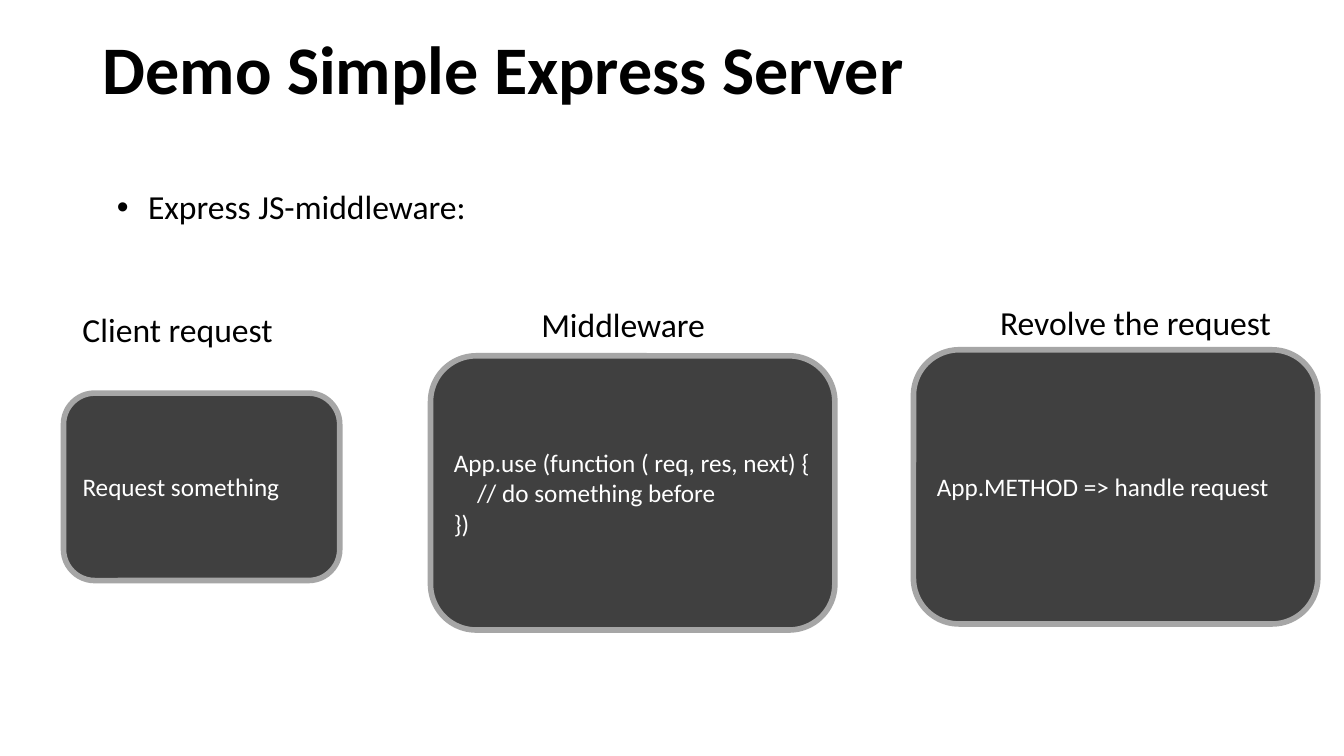
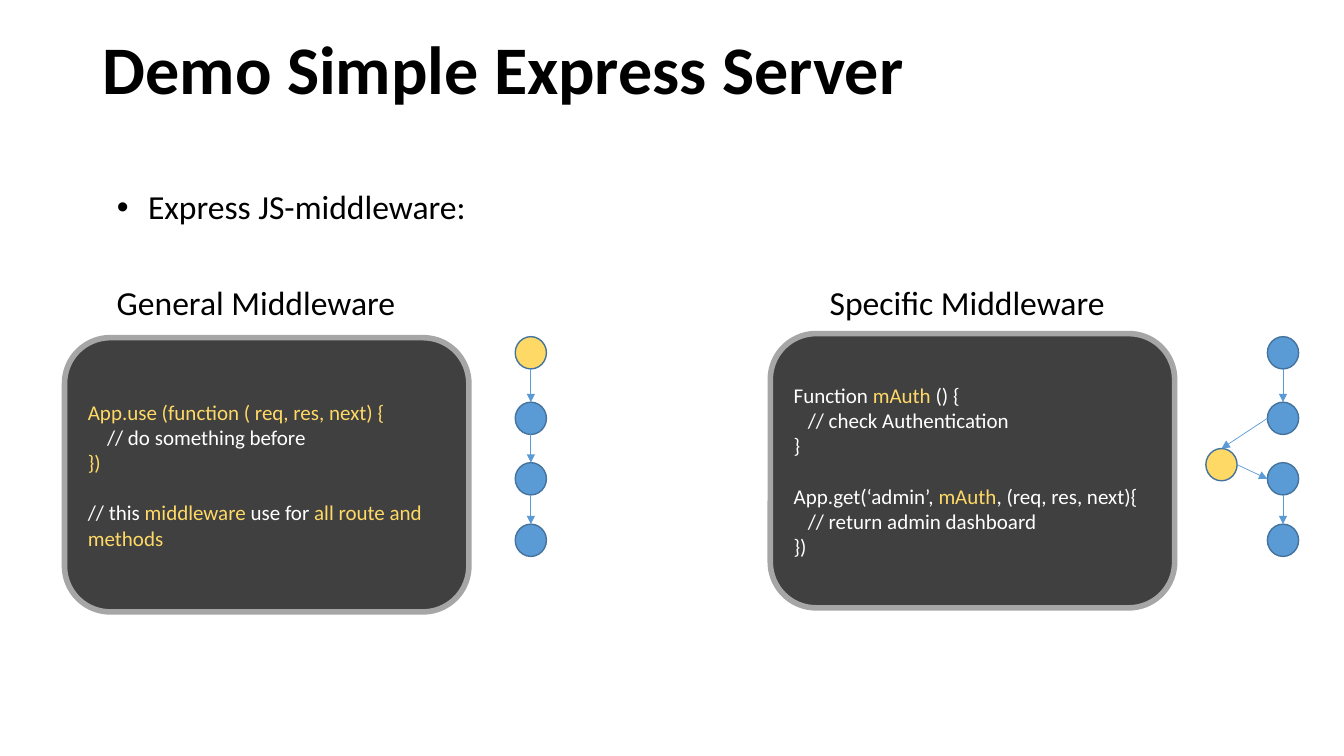
"""Build two slides that explain Express JS middleware."""
from dataclasses import dataclass

from lxml import etree
from pptx import Presentation
from pptx.dml.color import RGBColor
from pptx.enum.shapes import MSO_CONNECTOR, MSO_SHAPE
from pptx.enum.text import MSO_ANCHOR, PP_ALIGN
from pptx.oxml.ns import qn
from pptx.slide import Slide
from pptx.util import Inches, Pt

ROUNDED = MSO_SHAPE.ROUNDED_RECTANGLE
OVAL = MSO_SHAPE.OVAL
STRAIGHT = MSO_CONNECTOR.STRAIGHT
MIDDLE = MSO_ANCHOR.MIDDLE
LEFT = PP_ALIGN.LEFT

FONT = "Calibri"
COLORS = {
    "ink": "000000",
    "panel": "404040",
    "frame": "A6A6A6",
    "code": "FFFFFF",
    "accent": "FFD966",
    "step": "5B9BD5",
    "step_edge": "43739E",
}
TITLE = "Demo Simple Express Server"
TOPIC = "Express JS-middleware:"
LABEL_HEIGHT = 0.5
PANEL_SIZE = (4.01, 2.72)
STEP_WIDTH, STEP_HEIGHT = 0.31, 0.32
STEP_TOPS = (3.34, 3.99, 4.59, 5.2)


@dataclass(frozen=True)
class Span:
    """A stretch of code in one colour."""

    text: str
    color: str = "code"


@dataclass(frozen=True)
class CodeLine:
    """A line of code with its indent in inches and space before in points."""

    spans: tuple[Span, ...]
    indent: float = 0
    before: float = 0


@dataclass(frozen=True)
class Label:
    """A heading above a code panel."""

    text: str
    left: float
    top: float
    width: float


@dataclass(frozen=True)
class Panel:
    """A framed block of code."""

    left: float
    top: float
    lines: tuple[CodeLine, ...]
    font_size: float
    size: tuple[float, float] = PANEL_SIZE


@dataclass(frozen=True)
class Step:
    """A circle in a request flow."""

    left: float
    top: float
    color: str = "step"

    @property
    def center(self) -> tuple[float, float]:
        """Return the middle of the circle."""
        return self.left + STEP_WIDTH / 2, self.top + STEP_HEIGHT / 2

    def edge(self, across: int, down: int) -> tuple[float, float]:
        """Return the point on the rim in the given direction."""
        x, y = self.center
        return x + across * STEP_WIDTH / 2, y + down * STEP_HEIGHT / 2


def code(text: str, color: str = "code", indent: float = 0, before: float = 0) -> CodeLine:
    """Return a code line in a single colour."""
    return CodeLine((Span(text, color),), indent, before)


def rgb(name: str) -> RGBColor:
    """Look up a named colour."""
    return RGBColor.from_string(COLORS[name])


def style_run(run, size: float, color: str, bold: bool = False) -> None:
    """Apply the shared font to a run."""
    run.font.name = FONT
    run.font.size = Pt(size)
    run.font.bold = bold
    run.font.color.rgb = rgb(color)


def add_text(slide: Slide, label: Label, size: float = 24,
             height: float = LABEL_HEIGHT, bold: bool = False):
    """Add a one-paragraph text box and return its frame."""
    box = slide.shapes.add_textbox(
        Inches(label.left), Inches(label.top), Inches(label.width), Inches(height))
    frame = box.text_frame
    frame.word_wrap = True
    frame.text = label.text
    style_run(frame.paragraphs[0].runs[0], size, "ink", bold)
    return frame


def add_heading(slide: Slide) -> None:
    """Add the title and the bulleted topic."""
    title = add_text(slide, Label(TITLE, 0.92, 0.4, 11.5), 48.6, 0.63, True)
    title.vertical_anchor = MIDDLE
    title.paragraphs[0].line_spacing = 0.9
    topic = add_text(slide, Label(TOPIC, 1.06, 1.8, 7.19))
    properties = topic.paragraphs[0]._p.get_or_add_pPr()
    properties.set("marL", str(Inches(0.31)))
    properties.set("indent", str(-Inches(0.31)))
    etree.SubElement(properties, qn("a:buFont"), typeface="Arial")
    etree.SubElement(properties, qn("a:buChar"), char="•")


def add_outlined(slide: Slide, kind, left: float, top: float, width: float,
                 height: float, fill: str, edge: str, weight: float):
    """Add a filled and outlined shape."""
    shape = slide.shapes.add_shape(
        kind, Inches(left), Inches(top), Inches(width), Inches(height))
    shape.shadow.inherit = False
    shape.fill.solid()
    shape.fill.fore_color.rgb = rgb(fill)
    shape.line.color.rgb = rgb(edge)
    shape.line.width = Pt(weight)
    return shape


def add_panel(slide: Slide, panel: Panel) -> None:
    """Add a code panel with its coloured lines."""
    shape = add_outlined(slide, ROUNDED, panel.left, panel.top, *panel.size,
                         "panel", "frame", 4)
    frame = shape.text_frame
    frame.word_wrap = True
    frame.vertical_anchor = MIDDLE
    for index, line in enumerate(panel.lines):
        paragraph = frame.add_paragraph() if index else frame.paragraphs[0]
        paragraph.alignment = LEFT
        paragraph.space_before = Pt(line.before)
        paragraph._p.get_or_add_pPr().set("marL", str(Inches(line.indent)))
        for span in line.spans:
            run = paragraph.add_run()
            run.text = span.text
            style_run(run, panel.font_size, span.color)


def add_step(slide: Slide, step: Step) -> None:
    """Add a flow circle."""
    add_outlined(slide, OVAL, step.left, step.top, STEP_WIDTH, STEP_HEIGHT,
                 step.color, "step_edge", 1)


def add_arrow(slide: Slide, start: tuple[float, float], end: tuple[float, float]) -> None:
    """Add a thin arrow between two points."""
    arrow = slide.shapes.add_connector(STRAIGHT, *map(Inches, start + end))
    arrow.line.color.rgb = rgb("step")
    arrow.line.width = Pt(0.5)
    etree.SubElement(arrow.line._get_or_add_ln(), qn("a:tailEnd"), type="triangle")
    etree.SubElement(arrow._element.spPr, qn("a:effectLst"))


def add_drop(slide: Slide, upper: Step, lower: Step) -> None:
    """Add an arrow straight down from one step to the next."""
    add_arrow(slide, upper.edge(0, 1), lower.edge(0, -1))


def add_content_slide(deck, labels: tuple[Label, ...], panels: tuple[Panel, ...]) -> Slide:
    """Add a slide with the shared heading, labels and code panels."""
    slide = deck.slides.add_slide(deck.slide_layouts[6])
    add_heading(slide)
    for label in labels:
        add_text(slide, label)
    for panel in panels:
        add_panel(slide, panel)
    return slide


def add_request_slide(deck) -> None:
    """Add the slide on the stages of a request."""
    labels = (
        Label("Client request", 0.72, 3.02, 2.53),
        Label("Middleware", 5.27, 2.97, 1.99),
        Label("Revolve the request", 9.82, 2.95, 3.05),
    )
    middleware = (
        code("App.use (function ( req, res, next) {"),
        code("// do something before", indent=0.23),
        code("})"),
    )
    panels = (
        Panel(0.63, 3.9, (code("Request something"),), 18, (2.74, 1.86)),
        Panel(4.27, 3.53, middleware, 18),
        Panel(9.06, 3.47, (code("App.METHOD => handle request"),), 18),
    )
    add_content_slide(deck, labels, panels)


def add_comparison_slide(deck) -> None:
    """Add the slide on general and specific middleware."""
    labels = (
        Label("General Middleware", 1.06, 2.75, 3.33),
        Label("Specific Middleware", 8.13, 2.75, 3.05),
    )
    general_code = (
        code("App.use (function ( req, res, next) {", "accent"),
        code("// do something before", indent=0.19),
        code("})", "accent"),
        CodeLine((Span("// this "), Span("middleware ", "accent"), Span("use for "),
                  Span("all route and methods", "accent")), before=18),
    )
    specific_code = (
        CodeLine((Span("Function "), Span("mAuth ", "accent"), Span("() {"))),
        code("// check Authentication", indent=0.14),
        code("}"),
        CodeLine((Span("App.get(‘admin’, "), Span("mAuth", "accent"),
                  Span(", (req, res, next){")), before=18),
        code("// return admin dashboard", indent=0.14),
        code("})"),
    )
    panels = (Panel(0.64, 3.35, general_code, 15), Panel(7.64, 3.31, specific_code, 15))
    slide = add_content_slide(deck, labels, panels)

    general = [Step(5.11, top, "step" if index else "accent")
               for index, top in enumerate(STEP_TOPS)]
    specific = [Step(12.57, top) for top in STEP_TOPS]
    auth = Step(11.96, 4.45, "accent")
    for step in (*general, *specific, auth):
        add_step(slide, step)
    first, second, third, last = specific
    for upper, lower in (*zip(general, general[1:]), (first, second), (third, last)):
        add_drop(slide, upper, lower)
    add_arrow(slide, second.edge(-1, 0), auth.edge(0, -1))
    add_arrow(slide, auth.edge(1, 0), third.edge(-1, 0))


def main() -> None:
    """Build and save the presentation."""
    deck = Presentation()
    deck.slide_width, deck.slide_height = Inches(13.33), Inches(7.5)
    add_request_slide(deck)
    add_comparison_slide(deck)
    deck.save("out.pptx")


if __name__ == "__main__":
    main()
